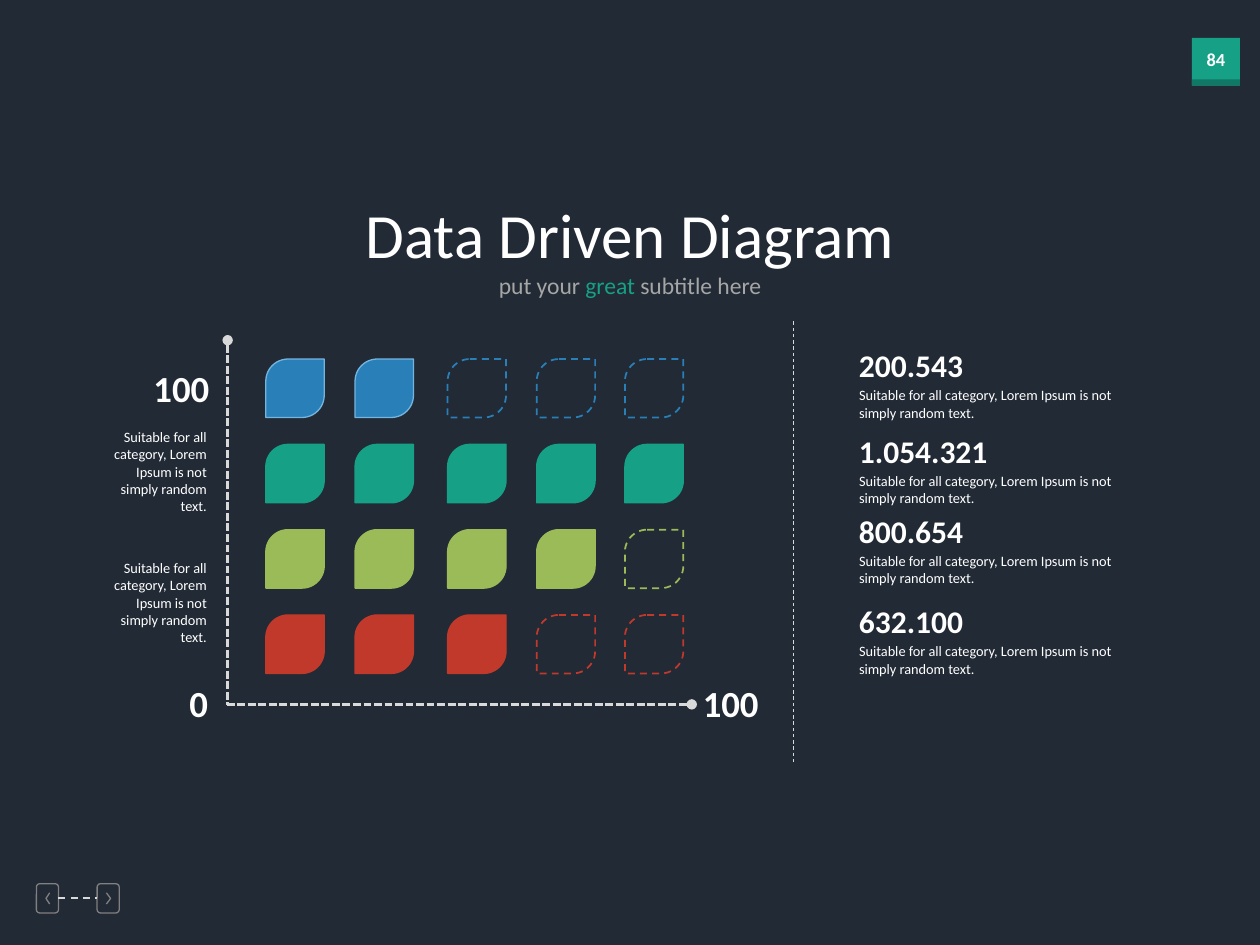
from lxml.etree import SubElement
from pptx import Presentation
from pptx.dml.color import RGBColor
from pptx.enum.dml import MSO_LINE
from pptx.enum.shapes import MSO_CONNECTOR, MSO_SHAPE
from pptx.enum.text import MSO_AUTO_SIZE, PP_ALIGN
from pptx.oxml.ns import qn
from pptx.util import Pt

NAVY = RGBColor(0x22, 0x2A, 0x35)
WHITE = RGBColor(0xFF, 0xFF, 0xFF)
SILVER = RGBColor(0xD9, 0xD9, 0xD9)
LIGHT_GRAY = RGBColor(0xA6, 0xA6, 0xA6)
GRAY = RGBColor(0x80, 0x80, 0x80)
TEAL = RGBColor(0x16, 0xA0, 0x85)
DARK_TEAL = RGBColor(0x10, 0x78, 0x64)
BLUE = RGBColor(0x29, 0x80, 0xB9)
SKY = RGBColor(0x74, 0xB5, 0xE0)
GREEN = RGBColor(0x9B, 0xBB, 0x59)
RED = RGBColor(0xC0, 0x39, 0x2B)

BODY = "Suitable for all category, Lorem Ipsum is not simply random text."

deck = Presentation()
deck.slide_width, deck.slide_height = Pt(720), Pt(540)
page = deck.slides.add_slide(deck.slide_layouts[6])
page.background.fill.solid()
page.background.fill.fore_color.rgb = NAVY


def add_text(left, top, width, height, spans, size, align, bold=False, wrap=False):
    box = page.shapes.add_textbox(Pt(left), Pt(top), Pt(width), Pt(height))
    box.text_frame.word_wrap = wrap
    box.text_frame.auto_size = MSO_AUTO_SIZE.SHAPE_TO_FIT_TEXT
    para = box.text_frame.paragraphs[0]
    para.alignment = align
    for text, color in spans:
        span = para.add_run()
        span.text = text
        span.font.name = "Calibri"
        span.font.size = Pt(size)
        span.font.bold = bold
        span.font.color.rgb = color


def add_line(start_x, start_y, end_x, end_y, weight, dash):
    line = page.shapes.add_connector(
        MSO_CONNECTOR.STRAIGHT, Pt(start_x), Pt(start_y), Pt(end_x), Pt(end_y))
    line.line.color.rgb = SILVER
    line.line.width = Pt(weight)
    line.line.dash_style = dash
    SubElement(line._element.spPr, qn("a:effectLst"))
    return line


for top, height, color in [(21.6, 27.4), (45.3, 3.6)] and [(21.6, 27.4, TEAL), (45.3, 3.6, DARK_TEAL)]:
    badge = page.shapes.add_shape(MSO_SHAPE.RECTANGLE, Pt(681.1), Pt(top), Pt(27.4), Pt(height))
    badge.shadow.inherit = False
    badge.fill.solid()
    badge.fill.fore_color.rgb = color
    badge.line.fill.background()
add_text(681.1, 23.8, 27.4, 20.2, [("84", WHITE)], 10.5, PP_ALIGN.CENTER, bold=True)

frames = []
for left, tip, back in [(20.8, 26.3, 28.4), (55.5, 63.2, 60.8)]:
    frame = page.shapes.add_shape(
        MSO_SHAPE.ROUNDED_RECTANGLE, Pt(left), Pt(505), Pt(12.6), Pt(16.7))
    frame.adjustments[0] = 0.15
    frames.append(frame)
    builder = page.shapes.build_freeform(Pt(back), Pt(510.2))
    builder.add_line_segments([(Pt(tip), Pt(513.4)), (Pt(back), Pt(516.6))], close=False)
    chevron = builder.convert_to_shape()
    for outline in (frame, chevron):
        outline.shadow.inherit = False
        outline.fill.background()
        outline.line.color.rgb = GRAY
        outline.line.width = Pt(0.75)
link = add_line(33.4, 513.4, 55.5, 513.4, 1, MSO_LINE.DASH)
link.begin_connect(frames[0], 3)
link.end_connect(frames[1], 1)

add_text(277.9, 151.2, 164.2, 23.8,
         [("put your ", LIGHT_GRAY), ("great", TEAL), (" subtitle here", LIGHT_GRAY)],
         13.5, PP_ALIGN.CENTER, wrap=True)
add_text(200.9, 108, 318.2, 51.1, [("Data Driven Diagram", WHITE)], 36, PP_ALIGN.CENTER)

for start_x, start_y, end_x, end_y, marker in [
    (130.1, 194.4, 130.1, 403, "a:headEnd"),
    (129.6, 402.5, 395.3, 402.5, "a:tailEnd"),
]:
    axis = add_line(start_x, start_y, end_x, end_y, 1.5, MSO_LINE.SQUARE_DOT)
    SubElement(axis.line._get_or_add_ln(), qn(marker), type="oval")

columns = [151.9, 202.9, 255.8, 306.7, 357.1]
rows = [(BLUE, SKY, 2), (TEAL, TEAL, 5), (GREEN, GREEN, 4), (RED, RED, 3)]
for row, (color, edge, filled) in enumerate(rows):
    for column, left in enumerate(columns):
        leaf = page.shapes.add_shape(
            MSO_SHAPE.ROUND_2_DIAG_RECTANGLE,
            Pt(left), Pt(205.2 + row * 48.75), Pt(33.4), Pt(33.4))
        leaf.adjustments[0] = 0.38
        leaf.shadow.inherit = False
        if column < filled:
            leaf.fill.solid()
            leaf.fill.fore_color.rgb = color
            leaf.line.color.rgb = edge
            leaf.line.width = Pt(0.75)
        else:
            leaf.fill.background()
            leaf.line.color.rgb = color
            leaf.line.width = Pt(1)
            leaf.line.dash_style = MSO_LINE.DASH

add_line(453.6, 183.6, 453.6, 436.3, 0.5, MSO_LINE.DASH)

for left, top, width, label in [
    (79.9, 205.2, 46.8, "100"), (100.8, 385.2, 25.2, "0"), (393.8, 385.2, 46.8, "100"),
]:
    add_text(left, top, width, 32.4, [(label, WHITE)], 21, PP_ALIGN.RIGHT, bold=True)

for top in (241.2, 316.1):
    add_text(57.6, top, 67.7, 57.6, [(BODY, WHITE)], 8.2, PP_ALIGN.RIGHT, wrap=True)

for top, width, figure in [
    (194.4, 74.9, "200.543"), (243.4, 88.6, "1.054.321"),
    (289.1, 74.9, "800.654"), (340.6, 74.9, "632.100"),
]:
    add_text(483.8, top, width, 28.8, [(figure, WHITE)], 18, PP_ALIGN.LEFT, bold=True)
    add_text(483.8, top + 23, 159.1, 27.4, [(BODY, WHITE)], 8.2, PP_ALIGN.LEFT, wrap=True)

deck.save("out.pptx")
